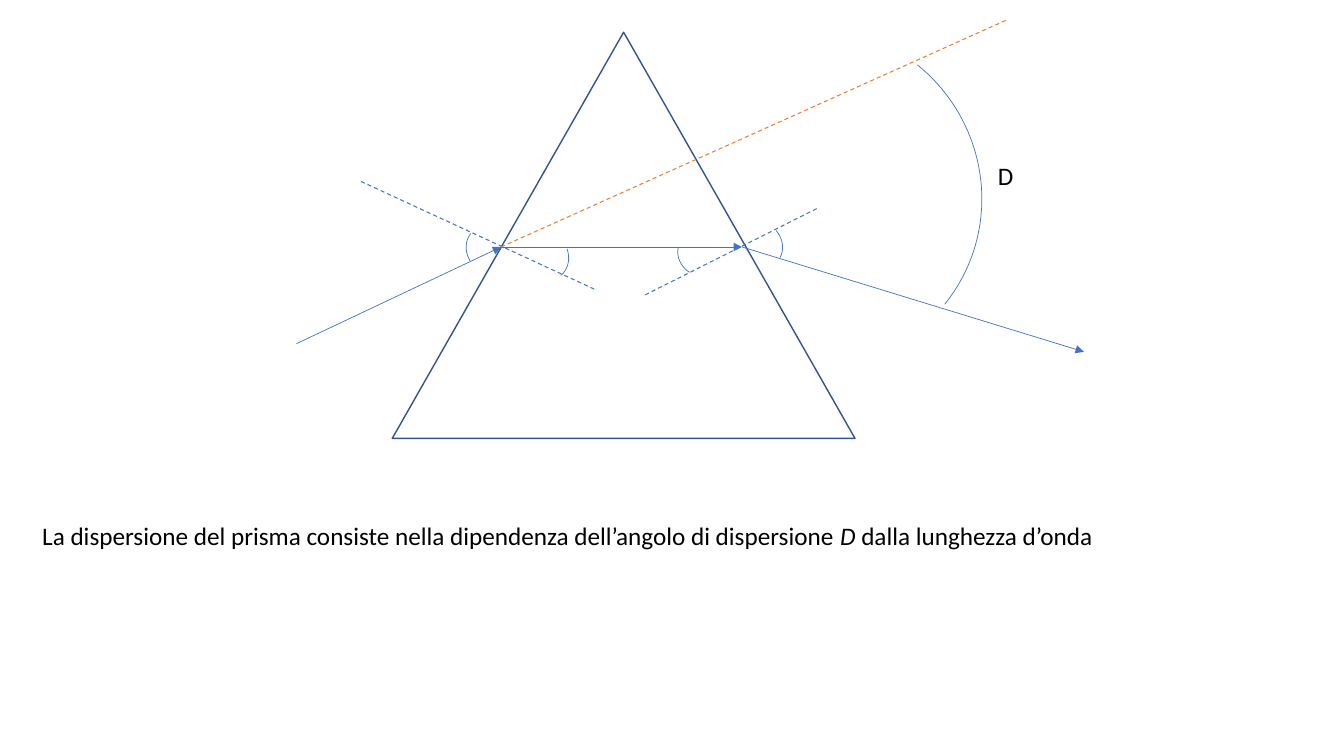
from lxml import etree
from pptx import Presentation
from pptx import util as u
from pptx.dml.color import RGBColor
from pptx.enum import dml, shapes, text
from pptx.oxml import ns

BLUE = RGBColor(0x44, 0x72, 0xC4)
NAVY = RGBColor(0x32, 0x54, 0x91)
ORANGE = RGBColor(0xED, 0x7D, 0x31)
BLACK = RGBColor(0, 0, 0)

CELL = u.Inches(0.1)
PRISM = (9.9, 1.2, 45.9, 40.3)
ENTRY, EXIT = (20.7, 22.5), (44.6, 22.5)
RAYS = [((0.4, 32.1), ENTRY), (ENTRY, EXIT), (EXIT, (78.5, 32.9))]
DASHES = [
    ((6.8, 16), (30.2, 26.8), BLUE),
    ((52, 18.7), (34.9, 27.3), BLUE),
    (ENTRY, (70.8, 0), ORANGE),
]
SMALL_ARC = (5.4, 4.7)
SMALL_ARC_START = 177.75
SMALL_ARCS = [(17.1, 20.5, 218.9), (38.2, 20.8, 193), (43.3, 19.9, 29), (22.2, 20.9, 50.2)]
DEVIATION_ARC = (34.4, 0.7, 34.1, 33.5)


def cells(*lengths):
    """Convert grid cells to slide lengths."""
    return [round(length * CELL) for length in lengths]


def place(origin, left, top, width, height):
    """Place a rectangle of cells relative to the origin of its region."""
    return cells(origin[0] + left, origin[1] + top, width, height)


def add_outline(group, kind, area, color, weight, rotation=0):
    """Add an unfilled preset shape."""
    shape = group.shapes.add_shape(kind, *area)
    shape.shadow.inherit = False
    shape.fill.background()
    shape.line.color.rgb = color
    shape.line.width = u.Pt(weight)
    shape.rotation = rotation
    return shape


def add_line(group, origin, start, end, color, weight):
    """Add a straight line between two points of the region."""
    ends = [base + offset for point in (start, end) for base, offset in zip(origin, point)]
    line = group.shapes.add_connector(shapes.MSO_CONNECTOR.STRAIGHT, *cells(*ends))
    line.line.color.rgb = color
    line.line.width = u.Pt(weight)
    etree.SubElement(line.element.spPr, ns.qn("a:effectLst"))
    return line


def add_text(holder, area, spans):
    """Add one unwrapped line of text from pairs of wording and italic."""
    box = holder.shapes.add_textbox(*area)
    box.text_frame.word_wrap = False
    box.text_frame.auto_size = text.MSO_AUTO_SIZE.SHAPE_TO_FIT_TEXT
    para = box.text_frame.paragraphs[0]
    for wording, italic in spans:
        span = para.add_run()
        span.text = wording
        span.font.name = "Calibri"
        span.font.size = u.Pt(18)
        span.font.italic = italic
        span.font.color.rgb = BLACK


def add_prism(page, origin):
    """Draw the prism with its rays, normals, angles and deviation D."""
    group = page.shapes.add_group_shape()
    add_outline(group, shapes.MSO_SHAPE.ISOSCELES_TRIANGLE, place(origin, *PRISM), NAVY, 1)
    for start, end in RAYS:
        ray = add_line(group, origin, start, end, BLUE, 0.5)
        etree.SubElement(ray.get_or_add_ln(), ns.qn("a:tailEnd"), type="triangle")
    for start, end, color in DASHES:
        dash = add_line(group, origin, start, end, color, 0.75)
        dash.line.dash_style = dml.MSO_LINE.DASH
    for left, top, rotation in SMALL_ARCS:
        area = place(origin, left, top, *SMALL_ARC)
        arc = add_outline(group, shapes.MSO_SHAPE.ARC, area, BLUE, 0.5, rotation)
        arc.adjustments[0] = SMALL_ARC_START
    add_outline(group, shapes.MSO_SHAPE.ARC, place(origin, *DEVIATION_ARC), BLUE, 0.5, 39)
    add_text(group, place(origin, 69, 13.4, 3.6, 4), [("D", False)])


def main():
    """Build and save the slide."""
    deck = Presentation()
    deck.slide_width, deck.slide_height = u.Inches(13.33), u.Inches(7.5)
    page = deck.slides.add_slide(deck.slide_layouts[6])
    add_text(page, cells(3.2, 51.1, 107.5, 4), [
        ("La dispersione del prisma consiste nella dipendenza dell’angolo di dispersione ", False),
        ("D", True),
        (" dalla lunghezza d’onda", False),
    ])
    add_prism(page, (29, 2))
    deck.save("out.pptx")


if __name__ == "__main__":
    main()
